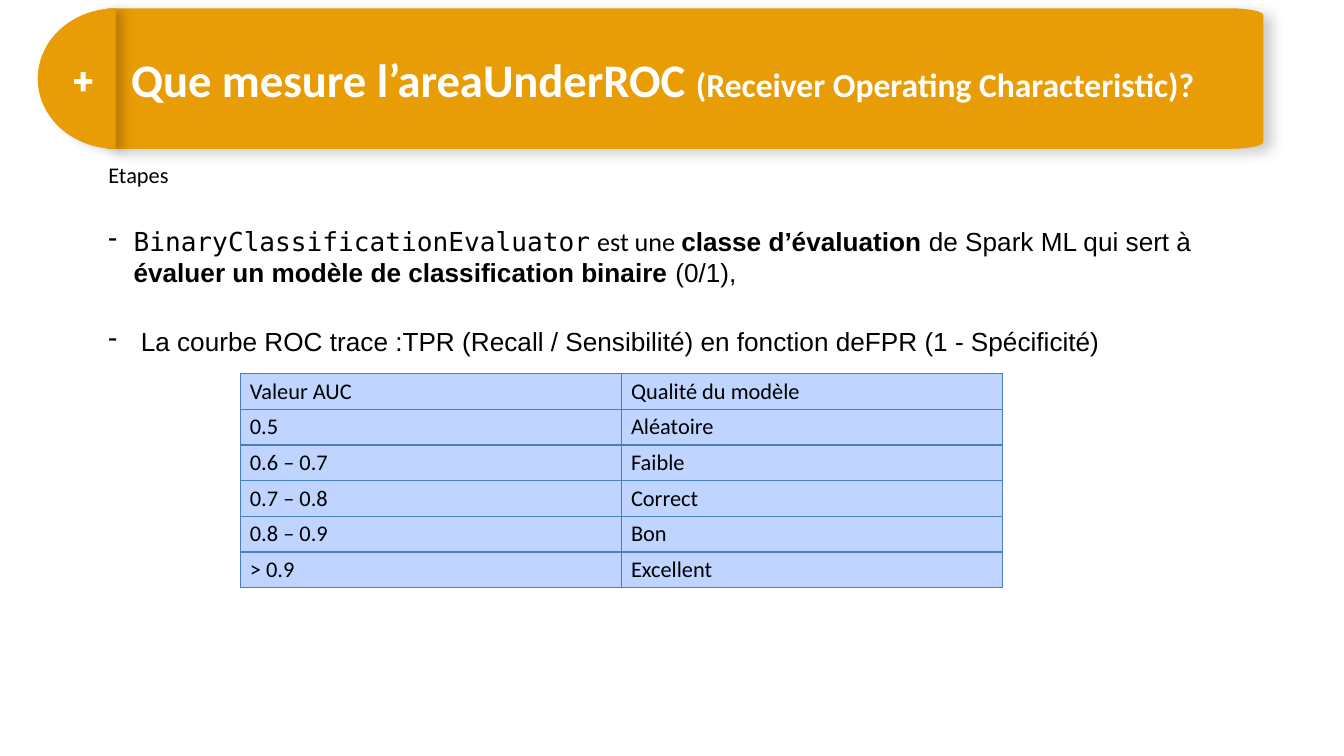
from math import cos, radians, sin

from lxml.etree import SubElement
from pptx import Presentation
from pptx.dml.color import RGBColor
from pptx.enum.shapes import MSO_SHAPE
from pptx.enum.text import MSO_ANCHOR, MSO_AUTO_SIZE, PP_ALIGN
from pptx.oxml import parse_xml
from pptx.oxml.ns import nsdecls, qn
from pptx.util import Pt

ORANGE, WHITE, BLACK = "E89D06", "FFFFFF", "000000"
CELL_BLUE, BORDER_BLUE = "BFD4FF", "4B7EBC"


def paint(fill, colour):
    fill.solid()
    fill.fore_color.rgb = RGBColor.from_string(colour)


def add_span(para, text, size=14, font="Arial", colour=BLACK, bold=False):
    span = para.add_run()
    span.text = text
    span.font.size = Pt(size)
    span.font.name = font
    span.font.bold = bold
    paint(span.font.fill, colour)


deck = Presentation()
deck.slide_width, deck.slide_height = Pt(720), Pt(405)
page = deck.slides.add_slide(deck.slide_layouts[5])

# Explanation
box = page.shapes.add_textbox(Pt(51), Pt(82.8), Pt(633.6), Pt(170.6))
frame = box.text_frame
frame.word_wrap = True
para = frame.paragraphs[0]
para.alignment = PP_ALIGN.JUSTIFY
para.space_after = Pt(8)
add_span(para, "Etapes", size=12, font="Calibri")

bullets = [
    [("BinaryClassificationEvaluator", {"font": "DejaVu Sans Mono"}),
     (" est une ", {"font": "Calibri"}),
     ("classe d’évaluation", {"bold": True}),
     (" de Spark ML qui sert à ", {}),
     ("évaluer un modèle de classification binaire", {"bold": True}),
     (" (0/1),", {})],
    [(" La courbe ROC trace :TPR (Recall / Sensibilité) en fonction deFPR (1 - Spécificité)", {})],
]
for spans in bullets:
    para = frame.add_paragraph()
    para.space_before, para.space_after = Pt(12), Pt(8)
    properties = para._p.get_or_add_pPr()
    properties.set("marL", str(Pt(13.5)))
    properties.set("indent", str(-Pt(13.5)))
    SubElement(properties, qn("a:buChar")).set("char", "-")
    for text, style in spans:
        add_span(para, text, **style)

# Header: banner with softened right corners, then a half-ellipse tab
top, bottom = 4.5, 79.7
corner_x, corner_width, corner_height = 659.6, 17.2, 3.6
tab_right, tab_width = 61.9, 41.7
middle, half_height = (top + bottom) / 2, (bottom - top) / 2

banner = [(57.6, top), (57.6, bottom)]
for centre_y, first in ((bottom - corner_height, 90), (top + corner_height, 0)):
    banner += [(corner_x + corner_width * cos(radians(angle)),
                centre_y + corner_height * sin(radians(angle)))
               for angle in range(first, first - 91, -10)]
tab = [(tab_right + tab_width * cos(radians(angle)),
        middle + half_height * sin(radians(angle)))
       for angle in range(90, 271, 3)]

for outline, blur, angle in ((banner, 6.8, 20), (tab, 5.6, 19)):
    points = [(Pt(x), Pt(y)) for x, y in outline]
    builder = page.shapes.build_freeform(*points[0])
    builder.add_line_segments(points[1:], close=True)
    shape = builder.convert_to_shape()
    paint(shape.fill, ORANGE)
    shape.line.fill.background()
    shape._element.spPr.append(parse_xml(
        f'<a:effectLst {nsdecls("a")}><a:outerShdw blurRad="{Pt(blur)}" dist="{Pt(4.5)}" '
        f'dir="{angle * 60000}" algn="ctr" rotWithShape="0"><a:srgbClr val="{BLACK}">'
        '<a:alpha val="20000"/></a:srgbClr></a:outerShdw></a:effectLst>'))

plus = page.shapes.add_shape(MSO_SHAPE.RECTANGLE, Pt(31.7), Pt(27.4), Pt(25.9), Pt(30.2))
plus.shadow.inherit = False
paint(plus.fill, ORANGE)
plus.line.fill.background()
frame = plus.text_frame
frame.margin_left = frame.margin_right = frame.margin_top = frame.margin_bottom = Pt(7.2)
frame.vertical_anchor = MSO_ANCHOR.MIDDLE
frame.paragraphs[0].alignment = PP_ALIGN.CENTER
add_span(frame.paragraphs[0], "+", size=20, font="Roboto", colour=WHITE, bold=True)

# Title, brought in front of the banner
title = page.shapes.title
title.left, title.top, title.width, title.height = Pt(64.8), Pt(24.5), Pt(649.4), Pt(36)
page.shapes._spTree.append(title._element)
frame = title.text_frame
frame.word_wrap = True
frame.auto_size = MSO_AUTO_SIZE.SHAPE_TO_FIT_TEXT
frame.vertical_anchor = MSO_ANCHOR.TOP
frame.margin_left = frame.margin_right = Pt(5.4)
frame.margin_top = frame.margin_bottom = Pt(2.7)
para = frame.paragraphs[0]
para.alignment = PP_ALIGN.LEFT
for text, size in (("Que mesure l’areaUnderROC ", 25),
                   ("(Receiver Operating Characteristic)?", 18)):
    add_span(para, text, size=size, font="Calibri", colour=WHITE, bold=True)

# AUC scale
rows = [
    ("Valeur AUC", "Qualité du modèle"),
    ("0.5", "Aléatoire"),
    ("0.6 – 0.7", "Faible"),
    ("0.7 – 0.8", "Correct"),
    ("0.8 – 0.9", "Bon"),
    ("> 0.9", "Excellent"),
]
row_height = 19.15
table = page.shapes.add_table(len(rows), 2, Pt(128.9), Pt(200.1),
                              Pt(408.4), Pt(row_height * len(rows))).table
for row, values in zip(table.rows, rows):
    row.height = Pt(row_height)
    for cell, value in zip(row.cells, values):
        cell.margin_left = cell.margin_right = Pt(5)
        cell.margin_top = cell.margin_bottom = Pt(2.2)
        cell.vertical_anchor = MSO_ANCHOR.MIDDLE
        for side in ("lnL", "lnR", "lnT", "lnB"):
            cell._tc.get_or_add_tcPr().append(parse_xml(
                f'<a:{side} {nsdecls("a")} w="{Pt(0.75)}"><a:solidFill>'
                f'<a:srgbClr val="{BORDER_BLUE}"/></a:solidFill></a:{side}>'))
        paint(cell.fill, CELL_BLUE)
        add_span(cell.text_frame.paragraphs[0], value, size=12, font="Calibri")

deck.save("out.pptx")
